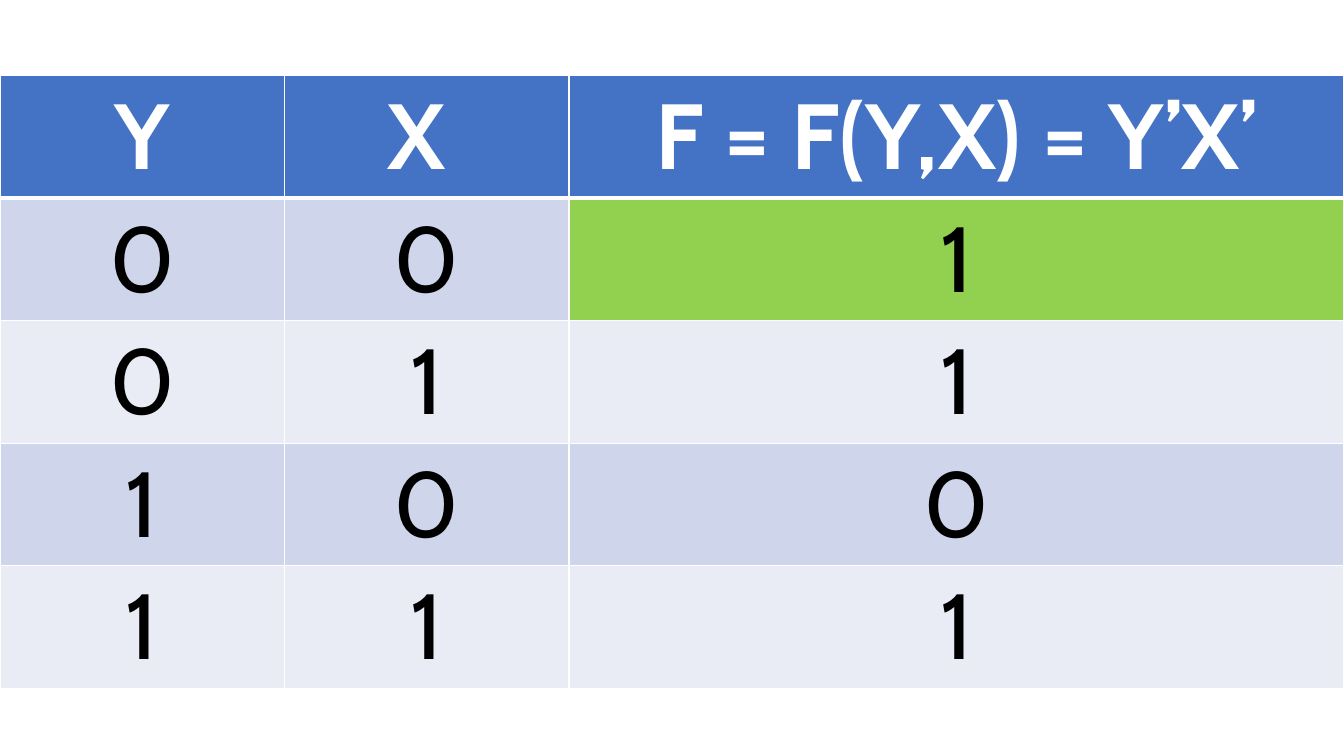
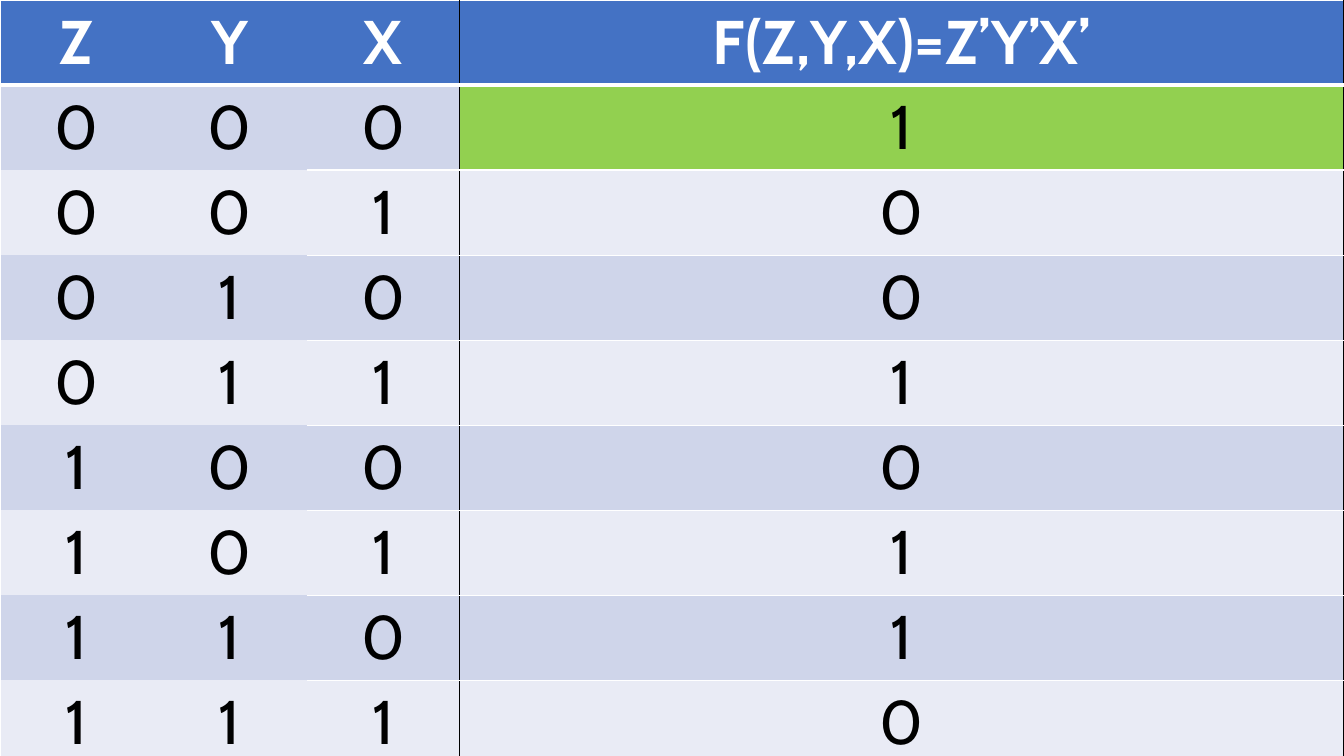
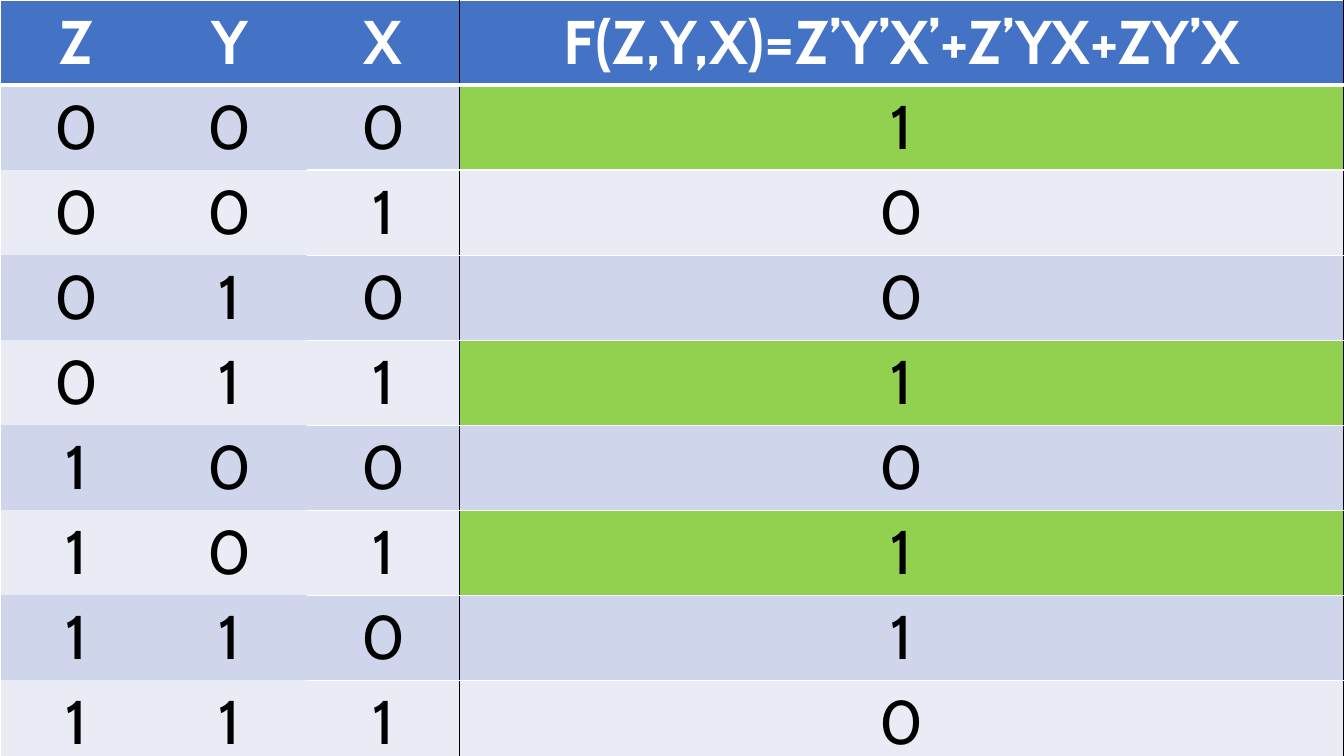
from dataclasses import dataclass
from itertools import product

from lxml.etree import SubElement as Sub
from pptx import Presentation
from pptx.dml.color import RGBColor as Rgb
from pptx.enum.text import MSO_ANCHOR as Anchor, PP_ALIGN as Align
from pptx.oxml.ns import qn
from pptx.util import Pt

PX = 9525
WIDE, HIGH = 1280, 720


@dataclass(frozen=True)
class Theme:
    font: str = "Cabin"
    head: str = "4472C4"
    bands: tuple = ("CFD5EA", "E9EBF5")
    mark: str = "92D050"
    white: str = "FFFFFF"
    black: str = "000000"
    large: int = 66
    small: int = 44
    thin: int = 1
    thick: int = 3


THEME = Theme()


@dataclass(frozen=True)
class Look:
    """Size, anchor, colour of column rules, and leading columns without rules."""
    size: int
    anchor: Anchor
    rule: str
    plain: int


LARGE = Look(THEME.large, Anchor.TOP, THEME.white, 0)
SMALL = Look(THEME.small, Anchor.MIDDLE, THEME.black, 2)


def draw_edge(cell, side, line):
    props = cell._tc.get_or_add_tcPr()
    if line is None:
        Sub(Sub(props, qn(f"a:ln{side}"), w="0"), qn("a:noFill"))
        return
    color, width = line
    edge = Sub(props, qn(f"a:ln{side}"), w=str(Pt(width)))
    Sub(Sub(edge, qn("a:solidFill")), qn("a:srgbClr"), val=color)


def col_line(look, pos):
    """Line at the left of column pos."""
    if pos == 0:
        return THEME.white, THEME.thin
    return None if pos <= look.plain else (look.rule, THEME.thin)


def row_line(look, pos, col, count):
    """Line above row pos."""
    if pos == 1:
        return THEME.white, THEME.thick
    if 0 < pos < count and col < look.plain:
        return None
    return THEME.white, THEME.thin


def fill_cell(cell, text, fill, look, head):
    cell.fill.solid()
    cell.fill.fore_color.rgb = Rgb.from_string(fill)
    cell.vertical_anchor = look.anchor
    para = cell.text_frame.paragraphs[0]
    para.text = text
    para.alignment = Align.CENTER
    font = para.font
    font.name, font.size, font.bold = THEME.font, Pt(look.size), head
    font.color.rgb = Rgb.from_string(THEME.white if head else THEME.black)


def truth_table(slide, box, widths, look, heads, values, marks):
    """Table of all inputs in counting order; marks are the green results."""
    inputs = product("01", repeat=len(heads) - 1)
    rows = [heads] + [(*bits, out) for bits, out in zip(inputs, values)]
    count = len(rows)
    left, top, wide, high = (n * PX for n in box)
    table = slide.shapes.add_table(count, len(heads), left, top, wide, high).table
    for col, width in zip(table.columns, widths):
        col.width = width * PX
    for r, row in enumerate(rows):
        table.rows[r].height = high // count
        for c, text in enumerate(row):
            cell = table.cell(r, c)
            draw_edge(cell, "L", col_line(look, c))
            draw_edge(cell, "R", col_line(look, c + 1))
            draw_edge(cell, "T", row_line(look, r, c, count))
            draw_edge(cell, "B", row_line(look, r + 1, c, count))
            fill = THEME.bands[(r - 1) % 2] if r else THEME.head
            if c == len(heads) - 1 and r - 1 in marks:
                fill = THEME.mark
            fill_cell(cell, text, fill, look, r == 0)


def two_inputs(slide, box, title, values, marks):
    side = 271
    widths = (side, side, box[2] - 2 * side)
    truth_table(slide, box, widths, LARGE, ("Y", "X ", title), values, marks)


def three_inputs(slide, box, title, values, marks):
    side = 146
    widths = (side, side, side, box[2] - 3 * side)
    truth_table(slide, box, widths, SMALL, ("Z", "Y", "X", title), values, marks)


def main():
    deck = Presentation()
    deck.slide_width, deck.slide_height = WIDE * PX, HIGH * PX
    full = (0, 0, WIDE, HIGH)
    pages = (
        (two_inputs, (0, 72, WIDE, 576), "F = F(Y,X) = Y’X’", "1101", {0}),
        (three_inputs, full, "F(Z,Y,X)=Z’Y’X’", "10010110", {0}),
        (three_inputs, full, "F(Z,Y,X)=Z’Y’X’+Z’YX+ZY’X", "10010110", {0, 3, 5}),
    )
    for build, *args in pages:
        build(deck.slides.add_slide(deck.slide_layouts[6]), *args)
    deck.save("out.pptx")


if __name__ == "__main__":
    main()
